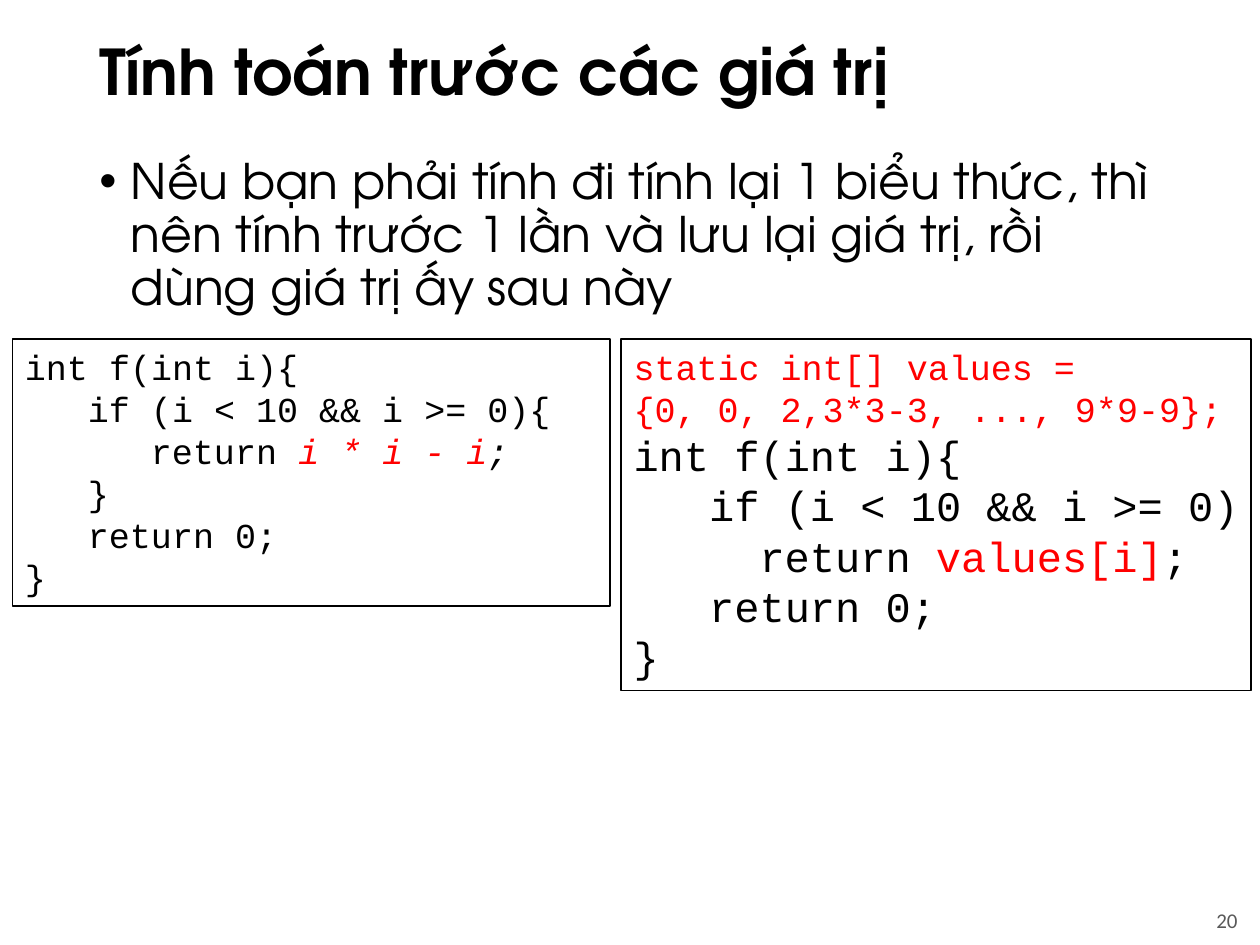
from pptx import Presentation, util as u
from pptx.dml.color import RGBColor
from pptx.enum import shapes, text
from lxml import etree

BLACK = RGBColor(0, 0, 0)
RED = RGBColor(255, 0, 0)
GRAY = RGBColor(0x59, 0x59, 0x59)
HEADING_FONT = "TeX Gyre Adventor"
CODE_FONT = "Courier New"
CODE_CHAR_WIDTH = 0.6


class SlideBuilder:
    """Holds the current slide and its style, and adds each kind of element."""

    def __init__(self, slide):
        self.slide = slide

    def add_run(self, paragraph, words, font, size, color=BLACK, bold=False, italic=False):
        run = paragraph.add_run()
        run.text = words
        run.font.name = font
        run.font.size = u.Pt(size)
        run.font.color.rgb = color
        run.font.bold = bold
        run.font.italic = italic

    def set_indent(self, paragraph, margin, first=0):
        properties = paragraph._p.get_or_add_pPr()
        properties.set("marL", str(u.Inches(margin)))
        properties.set("indent", str(u.Inches(first)))
        return properties

    def label(self, box, words, font, size, color=BLACK, bold=False,
              anchor=text.MSO_ANCHOR.MIDDLE, align=text.PP_ALIGN.LEFT, spacing=None):
        frame = self.slide.shapes.add_textbox(*map(u.Inches, box)).text_frame
        frame.word_wrap = True
        frame.vertical_anchor = anchor
        paragraph = frame.paragraphs[0]
        paragraph.alignment = align
        paragraph.line_spacing = spacing
        self.add_run(paragraph, words, font, size, color, bold)
        return paragraph

    def bullet(self, box, words, size):
        paragraph = self.label(box, words, HEADING_FONT, size,
                               anchor=text.MSO_ANCHOR.TOP, spacing=0.9)
        paragraph.space_before = u.Pt(10)
        properties = self.set_indent(paragraph, 0.25, -0.25)
        namespace = "{http://schemas.openxmlformats.org/drawingml/2006/main}"
        etree.SubElement(properties, namespace + "buFont", typeface="Arial")
        etree.SubElement(properties, namespace + "buChar", char="•")

    def code(self, box, lines):
        panel = self.slide.shapes.add_shape(
            shapes.MSO_SHAPE.RECTANGLE, *map(u.Inches, box))
        panel.shadow.inherit = False
        panel.fill.background()
        panel.line.color.rgb = BLACK
        panel.line.width = u.Pt(1)
        frame = panel.text_frame
        frame.word_wrap = True
        frame.margin_right = u.Inches(0.05)
        frame.vertical_anchor = text.MSO_ANCHOR.TOP
        for number, (size, columns, *pieces) in enumerate(lines):
            paragraph = frame.add_paragraph() if number else frame.paragraphs[0]
            paragraph.alignment = text.PP_ALIGN.LEFT
            self.set_indent(paragraph, columns * size * CODE_CHAR_WIDTH / 72)
            for words, color, italic in pieces:
                self.add_run(paragraph, words, CODE_FONT, size, color, italic=italic)


def plain(words):
    return words, BLACK, False


def red(words):
    return words, RED, False


def main():
    deck = Presentation()
    deck.slide_width, deck.slide_height = u.Inches(10), u.Inches(7.5)
    builder = SlideBuilder(deck.slides.add_slide(deck.slide_layouts[6]))

    builder.label((0.69, 0.16, 8.62, 0.87), "Tính toán trước các giá trị",
                  HEADING_FONT, 36, bold=True, spacing=0.9)
    builder.bullet((0.69, 1.2, 8.62, 5.45),
                   "Nếu bạn phải tính đi tính lại 1 biểu thức, thì nên tính trước "
                   "1 lần và lưu lại giá trị, rồi dùng giá trị ấy sau này", 28)
    builder.label((8.67, 7.1, 1.25, 0.4), "20", "Calibri", 12, GRAY,
                  align=text.PP_ALIGN.RIGHT)

    builder.code((0.1, 2.69, 4.74, 2.12), [
        (20, 0, plain("int f(int i){")),
        (20, 3, plain("if (i < 10 && i >= 0){")),
        (20, 6, plain("return "), ("i * i - i", RED, True), (";", BLACK, True)),
        (20, 3, plain("}")),
        (20, 3, plain("return 0;")),
        (20, 0, plain("}")),
    ])
    builder.code((4.93, 2.69, 5, 2.79), [
        (20, 0, red("static int[] values =")),
        (20, 0, red("{0, 0, 2,3*3-3, ..., 9*9-9};")),
        (24, 0, plain("int f(int i){")),
        (24, 3, plain("if (i < 10 && i >= 0)")),
        (24, 5, plain("return "), red("values[i]"), plain(";")),
        (24, 3, plain("return 0;")),
        (24, 0, plain("}")),
    ])
    deck.save("out.pptx")


if __name__ == "__main__":
    main()
